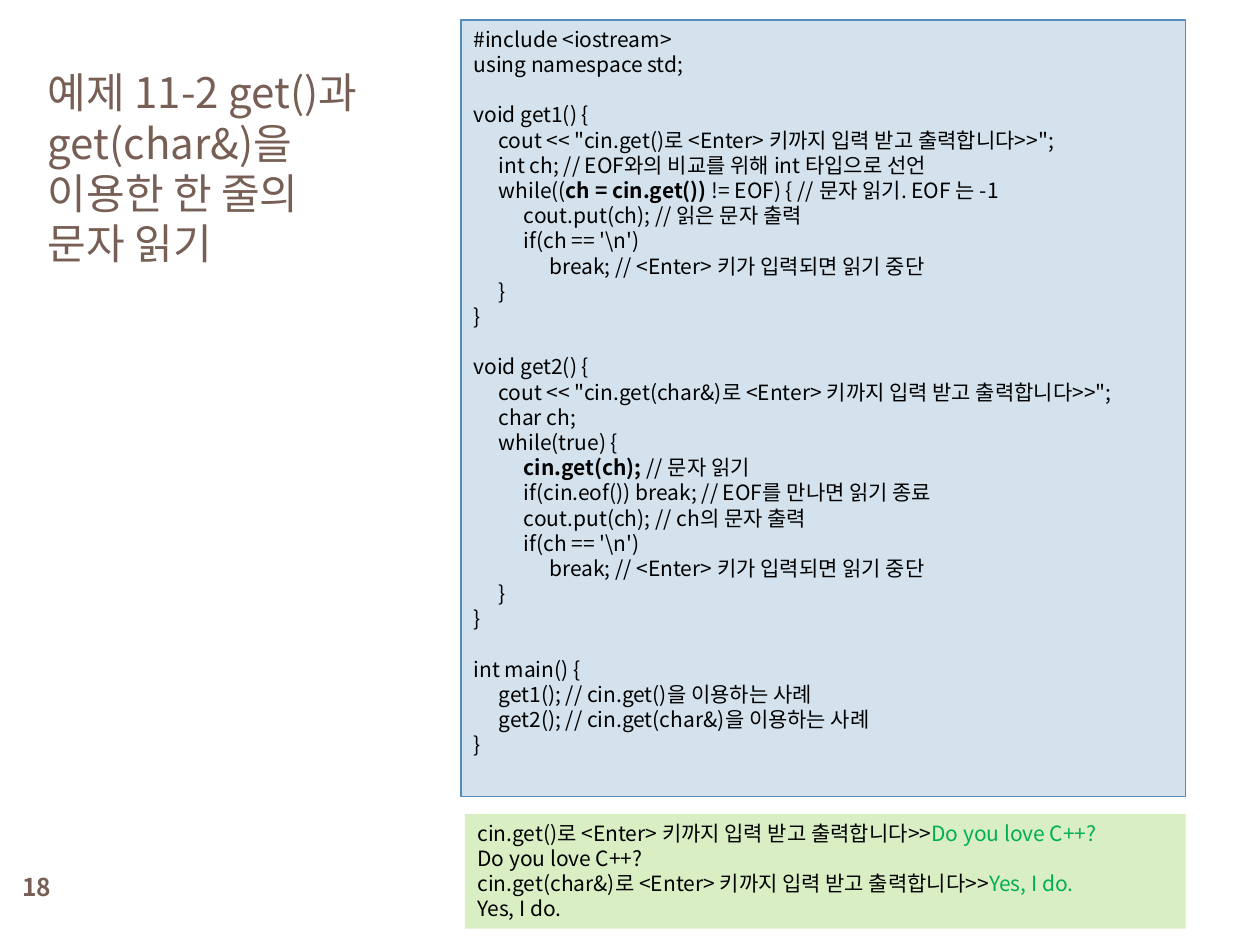
from lxml import etree
from pptx import Presentation
from pptx.dml.color import RGBColor
from pptx.enum.shapes import MSO_SHAPE
from pptx.enum.text import MSO_ANCHOR, PP_ALIGN
from pptx.oxml.ns import qn
from pptx.util import Inches, Pt

RECT = MSO_SHAPE.RECTANGLE
TOP, MIDDLE = MSO_ANCHOR.TOP, MSO_ANCHOR.MIDDLE
LEFT, CENTER = PP_ALIGN.LEFT, PP_ALIGN.CENTER

FONT = "Noto Sans CJK KR"
BROWN, BLACK, GREEN = "775F55", "000000", "00B050"
BOLD = {"bold": True}
INPUT = {"color": GREEN}

TITLE = "예제 11-2 get()과 \vget(char&)을 \v이용한 한 줄의\v문자 읽기"

# A line is a string, or a list of strings and (string, format) pairs.
CODE = [
    "#include <iostream>",
    "using namespace std;",
    "",
    "void get1() {",
    "\tcout << \"cin.get()로 <Enter> 키까지 입력 받고 출력합니다>>\";",
    "\tint ch; // EOF와의 비교를 위해 int 타입으로 선언",
    ["\twhile((", ("ch = cin.get()) ", BOLD), "!= EOF) { // 문자 읽기. EOF 는 -1"],
    "\t\tcout.put(ch); // 읽은 문자 출력",
    "\t\tif(ch == '\\n')",
    "\t\t\tbreak; // <Enter> 키가 입력되면 읽기 중단",
    "\t}",
    "}",
    "",
    "void get2() {",
    "\tcout << \"cin.get(char&)로 <Enter> 키까지 입력 받고 출력합니다>>\";",
    "\tchar ch;",
    "\twhile(true) {",
    ["\t\t", ("cin.get(ch); ", BOLD), "// 문자 읽기"],
    "\t\tif(cin.eof()) break; // EOF를 만나면 읽기 종료",
    "\t\tcout.put(ch); // ch의 문자 출력",
    "\t\tif(ch == '\\n')",
    "\t\t\tbreak; // <Enter> 키가 입력되면 읽기 중단",
    "\t}",
    "}",
    "",
    "int main() {",
    "\tget1(); // cin.get()을 이용하는 사례",
    "\tget2(); // cin.get(char&)을 이용하는 사례",
    "}",
]

OUTPUT = [
    ["cin.get()로 <Enter> 키까지 입력 받고 출력합니다>>", ("Do you love C++?", INPUT)],
    "Do you love C++?",
    ["cin.get(char&)로 <Enter> 키까지 입력 받고 출력합니다>>", ("Yes, I do.", INPUT)],
    "Yes, I do.",
]


def rgb(value):
    return RGBColor.from_string(value)


class SlideBuilder:
    def __init__(self, prs, font):
        self.s = prs.slides.add_slide(prs.slide_layouts[5])
        self.font = font

    def format_run(self, r, size, color=BLACK, bold=False):
        for name, value in {"name": self.font, "size": Pt(size), "bold": bold}.items():
            setattr(r.font, name, value)
        r.font.color.rgb = rgb(color)
        ea = etree.SubElement(r._r.get_or_add_rPr(), qn("a:ea"))
        ea.set("typeface", self.font)

    def add_tabs(self, p, step=0.2, count=3):
        tabs = etree.SubElement(p._p.get_or_add_pPr(), qn("a:tabLst"))
        for i in range(1, count + 1):
            tab = etree.SubElement(tabs, qn("a:tab"))
            tab.set("pos", str(Inches(step * i)))
            tab.set("algn", "l")

    def fill_text(self, tf, lines, size, anchor=TOP, align=LEFT, tabs=False, **style):
        tf.word_wrap = True
        tf.vertical_anchor = anchor
        for i, line in enumerate(lines):
            p = tf.add_paragraph() if i else tf.paragraphs[0]
            if tabs:
                self.add_tabs(p)
            p.alignment = align
            p.line_spacing = Pt(size * 1.2)
            for part in [line] if isinstance(line, str) else line:
                text, extra = (part, {}) if isinstance(part, str) else part
                for j, piece in enumerate(text.split("\v")):
                    if j:
                        p.add_line_break()
                    if piece:
                        r = p.add_run()
                        r.text = piece
                        self.format_run(r, size, **{**style, **extra})

    def title(self, text, x, y, w, h):
        sp = self.s.shapes.title
        sp.left, sp.top, sp.width, sp.height = map(Inches, (x, y, w, h))
        self.fill_text(sp.text_frame, [text], 24, MIDDLE, color=BROWN)

    def page_number(self, text, x, y, w, h):
        sp = self.s.shapes.add_textbox(*map(Inches, (x, y, w, h)))
        self.fill_text(sp.text_frame, [text], 14, MIDDLE, CENTER, color=BROWN, bold=True)

    def panel(self, lines, x, y, w, h, fill, line=None):
        sp = self.s.shapes.add_shape(RECT, *map(Inches, (x, y, w, h)))
        sp.shadow.inherit = False
        sp.fill.solid()
        sp.fill.fore_color.rgb = rgb(fill)
        if line:
            sp.line.color.rgb = rgb(line)
            sp.line.width = Pt(0.75)
        else:
            sp.line.fill.background()
        self.fill_text(sp.text_frame, lines, 12, tabs=True)


def main():
    prs = Presentation()
    prs.slide_width, prs.slide_height = Inches(10), Inches(7.5)
    slide = SlideBuilder(prs, FONT)
    slide.page_number("18", 0, 6.83, 0.58, 0.42)
    slide.title(TITLE, 0.28, 0.25, 3.46, 2.16)
    slide.panel(CODE, 3.66, 0.16, 5.75, 6.16, "D4E2ED", "558BB8")
    slide.panel(OUTPUT, 3.69, 6.46, 5.72, 0.91, "DAEEC4")
    prs.save("out.pptx")


if __name__ == "__main__":
    main()
